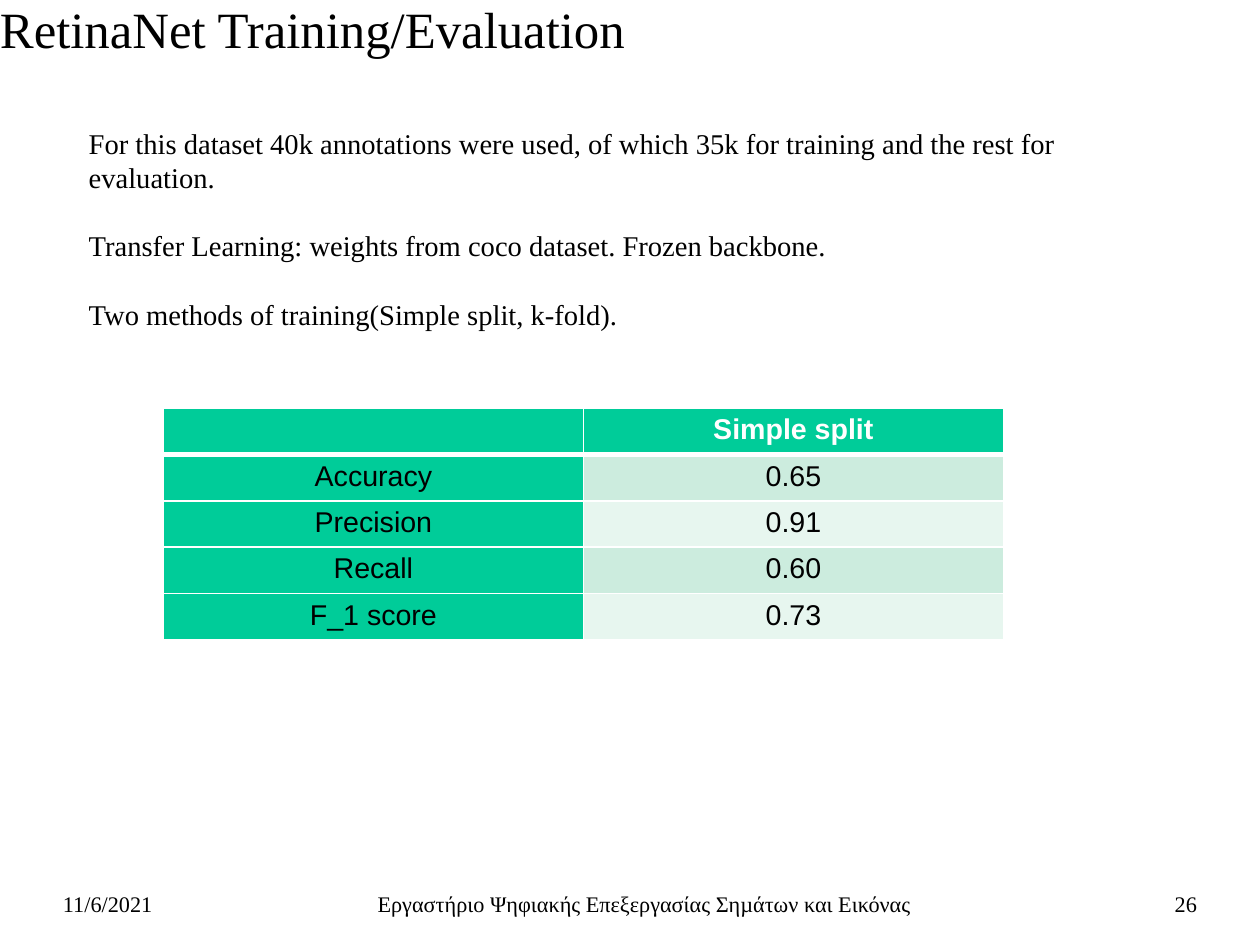
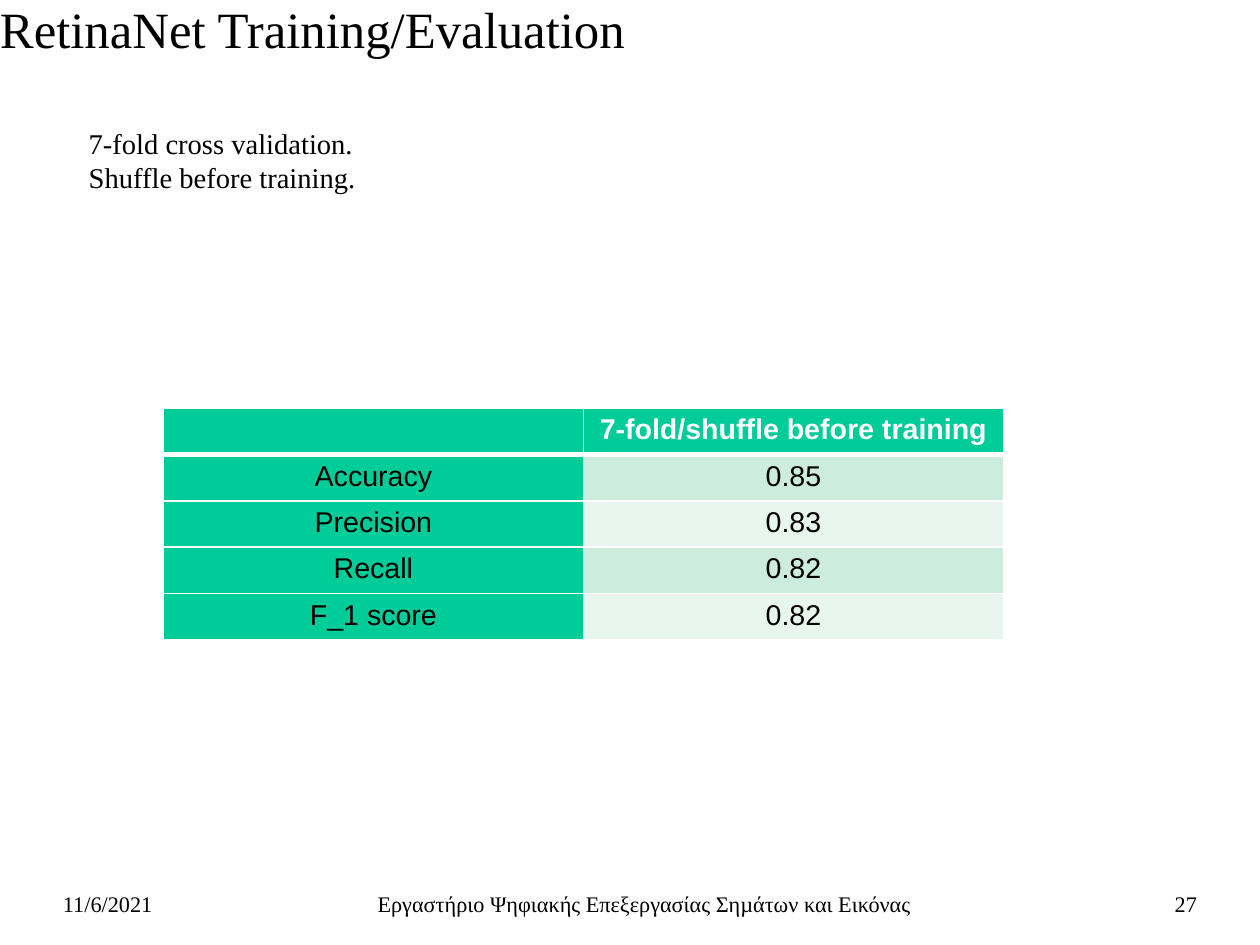
from lxml.etree import SubElement
from pptx import Presentation
from pptx.dml.color import RGBColor
from pptx.enum.text import MSO_AUTO_SIZE as FIT, PP_ALIGN as AL
from pptx.oxml.ns import qn
from pptx.util import Cm, Inches, Pt

W, H = Cm(28), Cm(21)
COL, ROW = W / 100, H / 100  # one hundredth of the slide each way
SERIF, SANS = "Times New Roman", "Arial"
BLACK, WHITE, GREEN = "000000", "FFFFFF", "00CC99"
BANDS = ["CCECDE", "E7F6EF"]
TITLE = "RetinaNet Training/Evaluation"
DATE = "11/6/2021"
LAB = "Εργαστήριο Ψηφιακής Επεξεργασίας Σηµάτων και Εικόνας"
METRICS = ["Accuracy", "Precision", "Recall", "F_1 score"]
FOOT_TOP, FOOT_H = 94.5, 3.6
LINE = 21.5  # height of one 18 pt line, in points

SLIDES = [
    dict(number="26", gap=LINE, body_h=30.5, head="Simple split",
         values=["0.65", "0.91", "0.60", "0.73"],
         body=["For this dataset 40k annotations were used, of which 35k for "
               "training and the rest for evaluation.",
               "Transfer Learning: weights from coco dataset. Frozen backbone.",
               "Two methods of training(Simple split, k-fold)."]),
    dict(number="27", gap=0, body_h=12.2, head="7-fold/shuffle before training",
         values=["0.85", "0.83", "0.82", "0.82"],
         body=["7-fold cross validation.", "Shuffle before training."]),
]


def rgb(color):
    return RGBColor.from_string(color)


def write(tf, lines, size, font=SERIF, color=BLACK, bold=False, **para):
    """Fill a text frame, one paragraph a line; para holds paragraph settings."""
    for i, line in enumerate(lines):
        p = tf.add_paragraph() if i else tf.paragraphs[0]
        for name, value in para.items():
            setattr(p, name, value)
        r = p.add_run()
        r.text = line
        for name, value in dict(size=Pt(size), name=font, bold=bold).items():
            setattr(r.font, name, value)
        r.font.color.rgb = rgb(color)


prs = Presentation()
prs.slide_width, prs.slide_height = W, H

for data in SLIDES:
    s = prs.slides.add_slide(prs.slide_layouts[6])

    # Title and footer: left, top, width, height in hundredths of the slide
    for text, box, size, inset, align in [
        (TITLE, (0, 0, 100, 9), 32, 0.03, AL.LEFT),
        (DATE, (5, FOOT_TOP, 23.3, FOOT_H), 14, 0, AL.LEFT),
        (data["number"], (71.7, FOOT_TOP, 23.3, FOOT_H), 14, 0, AL.RIGHT),
        (LAB, (29.6, FOOT_TOP, 43.1, FOOT_H), 14, 0, AL.CENTER),
    ]:
        x, y, w, h = box
        tf = s.shapes.add_textbox(int(x * COL), int(y * ROW),
                                  int(w * COL), int(h * ROW)).text_frame
        tf.word_wrap = True
        tf.margin_left = tf.margin_right = tf.margin_bottom = 0
        tf.margin_top = Inches(inset)
        write(tf, [text], size, alignment=align, line_spacing=0.93)

    tf = s.shapes.add_textbox(int(6.15 * COL), int(12.7 * ROW),
                              int(87.7 * COL), int(data["body_h"] * ROW)).text_frame
    tf.word_wrap = True
    tf.auto_size = FIT.SHAPE_TO_FIT_TEXT
    write(tf, data["body"], 18, space_after=Pt(data["gap"]))

    rows = [("", data["head"]), *zip(METRICS, data["values"])]
    table = s.shapes.add_table(len(rows), 2, int(12.97 * COL), int(43.2 * ROW),
                               int(W * 2 / 3), int(24.5 * ROW)).table
    for i, row in enumerate(rows):
        for j, text in enumerate(row):
            cell = table.cell(i, j)
            widths = dict(lnL=1, lnR=1, lnT=3 if i == 1 else 1, lnB=1 if i else 3)
            for side, width in widths.items():
                ln = SubElement(cell._tc.get_or_add_tcPr(), qn(f"a:{side}"), w=str(Pt(width)))
                SubElement(SubElement(ln, qn("a:solidFill")), qn("a:srgbClr"), val=WHITE)
            cell.fill.solid()
            cell.fill.fore_color.rgb = rgb(BANDS[(i - 1) % 2] if i and j else GREEN)
            if text:
                write(cell.text_frame, [text], 18, SANS, BLACK if i else WHITE,
                      bold=i == 0, alignment=AL.CENTER)

prs.save("out.pptx")
